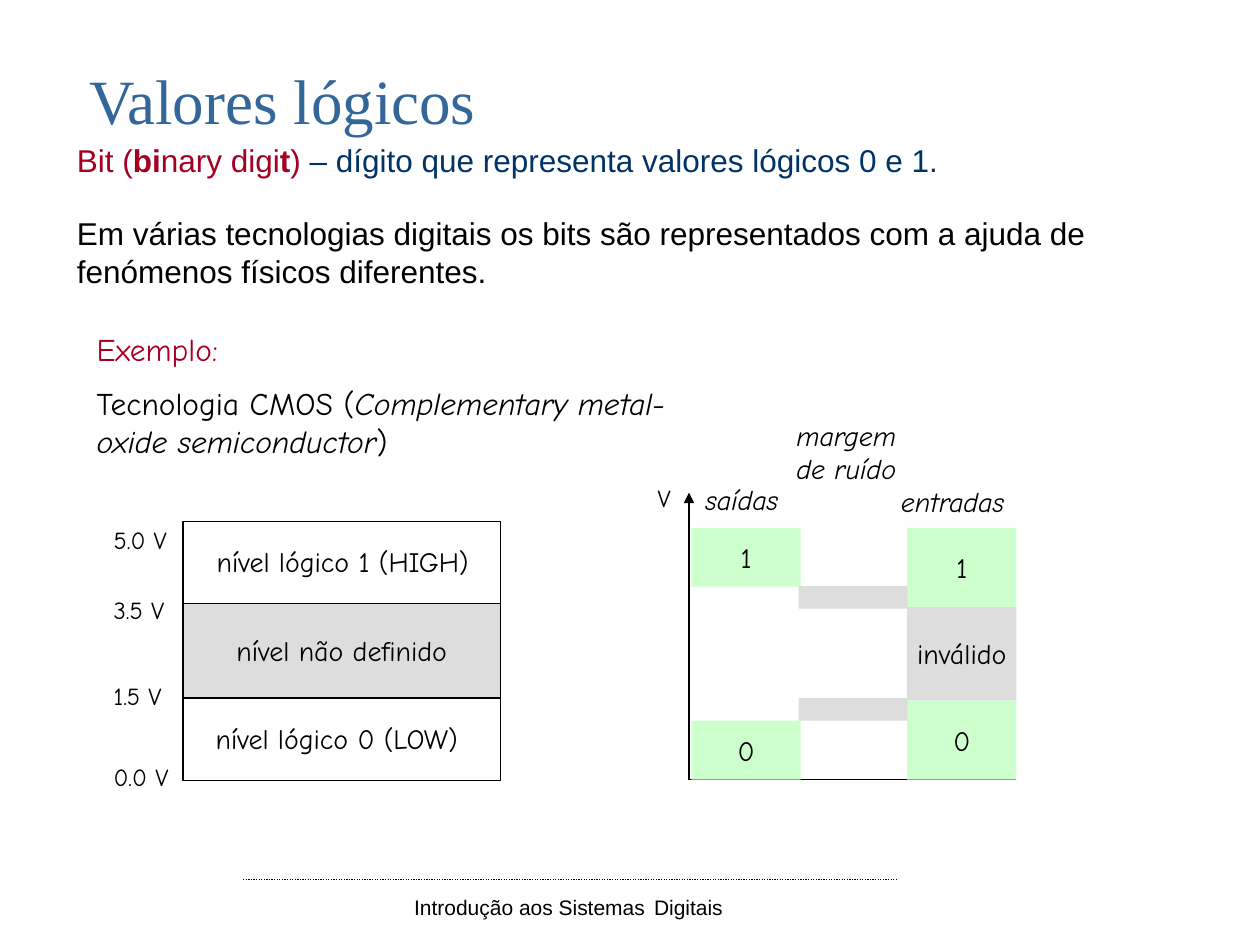
import pptx
import pptx.dml.color
import pptx.enum.dml
import pptx.enum.shapes
import pptx.enum.text
import pptx.oxml
import pptx.oxml.ns
import pptx.util

Cm = pptx.util.Cm
Pt = pptx.util.Pt
ALIGN = pptx.enum.text.PP_ALIGN
ANCHOR = pptx.enum.text.MSO_ANCHOR

COLORS = {
    "black": "000000",
    "title": "336699",
    "red": "A50021",
    "navy": "003366",
    "valid": "CCFFCC",
    "undefined": "DDDDDD",
}
SANS, SERIF, HAND = "Arial", "Times New Roman", "Comic Neue"


def rgb(name):
    return pptx.dml.color.RGBColor.from_string(COLORS[name])


def format_run(run, font, size, color="black", bold=False, italic=False):
    run.font.name = font
    run.font.size = Pt(size)
    run.font.color.rgb = rgb(color)
    run.font.bold = bold
    run.font.italic = italic


def format_frame(frame, font, size, align=ALIGN.LEFT, **style):
    for paragraph in frame.paragraphs:
        paragraph.alignment = align
        for run in paragraph.runs:
            format_run(run, font, size, **style)


def add_box(slide, left, top, width, height, wrap=False, inset=True):
    shape = slide.shapes.add_textbox(Cm(left), Cm(top), Cm(width), Cm(height))
    frame = shape.text_frame
    frame.word_wrap = wrap
    frame.auto_size = pptx.enum.text.MSO_AUTO_SIZE.SHAPE_TO_FIT_TEXT
    if not inset:
        frame.margin_left = frame.margin_right = 0
        frame.margin_top = frame.margin_bottom = 0
    return frame


def add_text(slide, text, box, font=HAND, size=16, align=ALIGN.LEFT,
             wrap=False, inset=True, **style):
    frame = add_box(slide, *box, wrap=wrap, inset=inset)
    frame.text = text
    format_frame(frame, font, size, align, **style)


def add_rich_text(slide, runs, box, font, wrap=True):
    """Add one paragraph from (text, size, style) parts."""
    paragraph = add_box(slide, *box, wrap=wrap).paragraphs[0]
    for text, size, style in runs:
        run = paragraph.add_run()
        run.text = text
        format_run(run, font, size, **style)


def add_band(slide, box, fill=None, outlined=False, text=""):
    shape = slide.shapes.add_shape(
        pptx.enum.shapes.MSO_SHAPE.RECTANGLE, *[Cm(value) for value in box])
    shape.shadow.inherit = False
    if fill:
        shape.fill.solid()
        shape.fill.fore_color.rgb = rgb(fill)
    else:
        shape.fill.background()
    if outlined:
        shape.line.color.rgb = rgb("black")
        shape.line.width = Pt(0.75)
    else:
        shape.line.fill.background()
    if text:
        frame = shape.text_frame
        frame.text = text
        frame.word_wrap = False
        frame.vertical_anchor = ANCHOR.MIDDLE
        format_frame(frame, HAND, 16, ALIGN.CENTER)


def add_line(slide, x1, y1, x2, y2, dash=None, arrow_at_start=False):
    line = slide.shapes.add_connector(
        pptx.enum.shapes.MSO_CONNECTOR.STRAIGHT, Cm(x1), Cm(y1), Cm(x2), Cm(y2))
    line.line.color.rgb = rgb("black")
    line.line.width = Pt(0.75)
    if dash:
        line.line.dash_style = dash
    namespace = pptx.oxml.ns.nsdecls("a")
    if arrow_at_start:
        line.line._get_or_add_ln().append(
            pptx.oxml.parse_xml(f'<a:headEnd {namespace} type="triangle"/>'))
    line._element.spPr.append(pptx.oxml.parse_xml(f"<a:effectLst {namespace}/>"))


def add_title(slide, left, top, width, height):
    title = slide.shapes.title
    title.left, title.top = Cm(left), Cm(top)
    title.width, title.height = Cm(width), Cm(height)
    frame = title.text_frame
    frame.text = "Valores lógicos"
    frame.word_wrap = False
    frame.auto_size = pptx.enum.text.MSO_AUTO_SIZE.NONE
    frame.vertical_anchor = ANCHOR.TOP
    frame.margin_top, frame.margin_bottom = Cm(0.32), 0
    format_frame(frame, SERIF, 36, ALIGN.CENTER, color="title")


def add_introduction(slide, left, top):
    red, bold_red = {"color": "red"}, {"color": "red", "bold": True}
    add_rich_text(slide, [
        ("Bit (", 18, red), ("bi", 18, bold_red), ("nary digi", 18, red),
        ("t", 18, bold_red), (")", 18, red),
        (" – dígito que representa valores lógicos 0 e 1.", 18, {"color": "navy"}),
    ], (left, top, 19.4, 1.02), SANS)
    add_text(slide, "Em várias tecnologias digitais os bits são representados "
             "com a ajuda de fenómenos físicos diferentes.",
             (left, top + 1.47, 23, 1.78), SANS, 18, wrap=True)
    add_text(slide, "Exemplo:", (left + 0.4, top + 3.81, 3.15, 1.02),
             size=18, color="red")
    add_rich_text(slide, [
        ("Tecnologia CMOS (", 18, {}),
        ("Complementary metal-oxide semiconductor", 18, {"italic": True}),
        (")", 18, {}),
    ], (left + 0.4, top + 4.9, 12, 1.78), HAND)


def add_level_diagram(slide, left, top):
    """Draw the voltage ranges of the logic levels with their limits."""
    for text, offset in (("5.0 V", 0.07), ("3.5 V", 1.47),
                         ("1.5 V", 3.2), ("0.0 V", 4.85)):
        add_text(slide, text, (left, top + offset, 1.35, 0.58),
                 size=14, inset=False)
    add_band(slide, (left + 1.4, top, 6.4, 5.21), outlined=True)
    for text, x, y in (("nível lógico 1 (HIGH)", 1.67, 0.33),
                       ("nível lógico 0 (LOW)", 1.55, 3.91)):
        add_text(slide, text, (left + x, top + y, 5.9, 0.94), align=ALIGN.CENTER)
    add_band(slide, (left + 1.4, top + 1.65, 6.4, 1.9), "undefined", True,
             "nível não definido")


def add_noise_margin_diagram(slide, left, top):
    """Draw the output and input ranges with the noise margins between them."""
    axis_x, base_y = left + 0.78, top + 7.41
    add_line(slide, axis_x, top + 1.62, axis_x, base_y, arrow_at_start=True)
    add_line(slide, axis_x, base_y, axis_x + 6.6, base_y)
    outputs_x, margins_x, inputs_x = 0.83, 2.99, 5.18
    for x, y, height, fill, text in (
        (inputs_x, 5.81, 1.6, "valid", "0"),
        (inputs_x, 2.33, 1.6, "valid", "1"),
        (inputs_x, 3.93, 1.88, "undefined", "inválido"),
        (outputs_x, 6.22, 1.19, "valid", "0"),
        (outputs_x, 2.33, 1.19, "valid", "1"),
        (margins_x, 3.5, 0.46, "undefined", ""),
        (margins_x, 5.76, 0.46, "undefined", ""),
    ):
        add_band(slide, (left + x, top + y, 2.2, height), fill, text=text)
    add_text(slide, "V", (left + 0.15, top + 1.42, 0.4, 0.58),
             size=14, inset=False)
    for text, x, y, width, height, align in (
        ("entradas", 4.8, 1.34, 2.84, 0.94, ALIGN.LEFT),
        ("saídas", 0.86, 1.29, 2.13, 0.94, ALIGN.LEFT),
        ("margem\nde ruído", 2.59, 0, 2.72, 1.63, ALIGN.CENTER),
    ):
        add_text(slide, text, (left + x, top + y, width, height),
                 align=align, italic=True)


def add_footer(slide, left, top):
    add_line(slide, left, top, left + 13.2, top,
             dash=pptx.enum.dml.MSO_LINE.ROUND_DOT)
    add_rich_text(slide, [
        ("Introdução aos Sistemas", 12, {}), (" ", 18, {}), ("Digitais", 12, {}),
    ], (left + 3.2, top - 0.03, 6.78, 1.02), SANS, wrap=False)


def main():
    presentation = pptx.Presentation()
    presentation.slide_width, presentation.slide_height = Cm(25.4), Cm(19.05)
    slide = presentation.slides.add_slide(presentation.slide_layouts[5])
    add_footer(slide, 4.9, 17.73)
    add_title(slide, 1.3, 0.91, 8.79, 1.19)
    add_introduction(slide, 1.3, 2.72)
    add_level_diagram(slide, 2.29, 10.52)
    add_noise_margin_diagram(slide, 13.11, 8.31)
    presentation.save("out.pptx")


if __name__ == "__main__":
    main()
